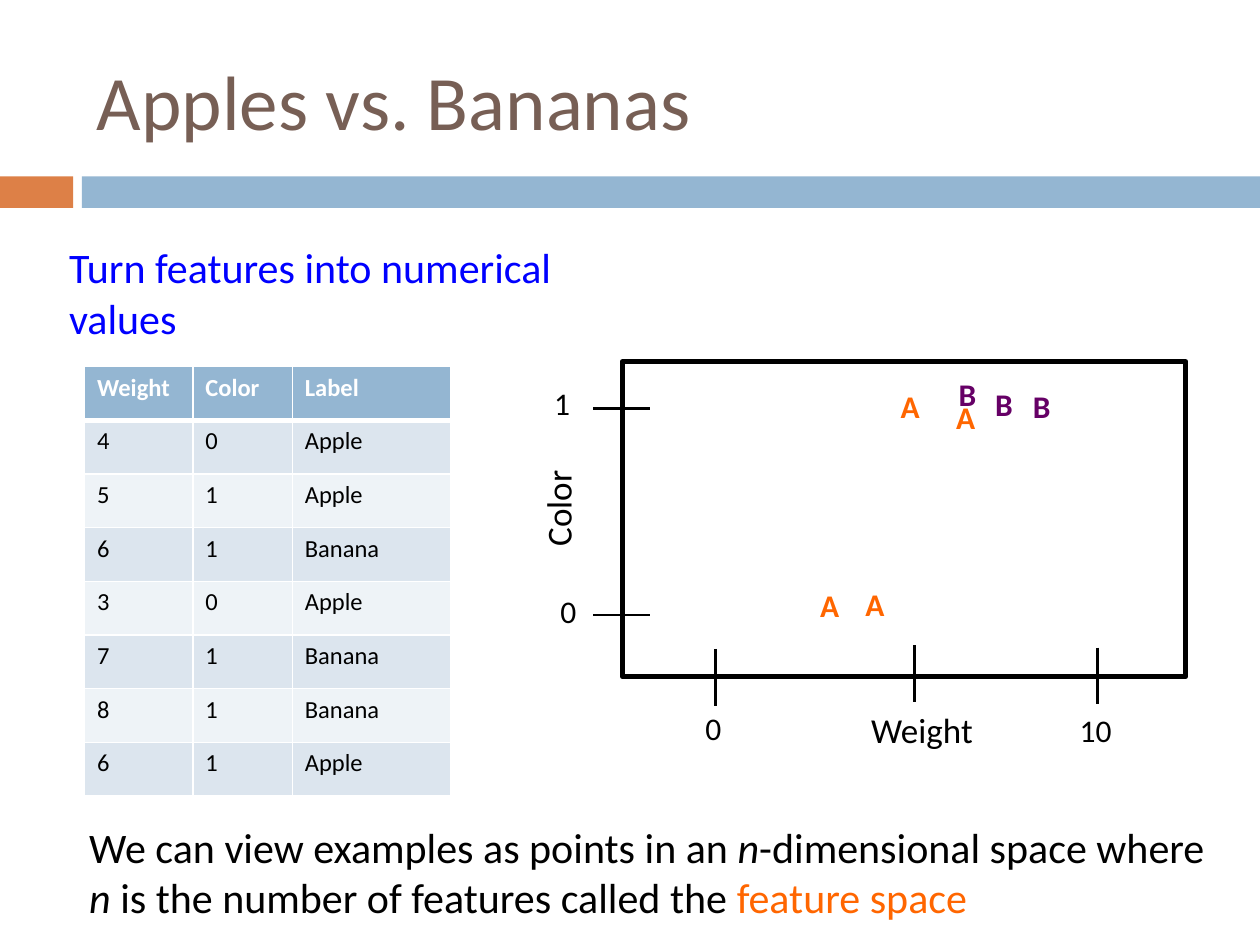
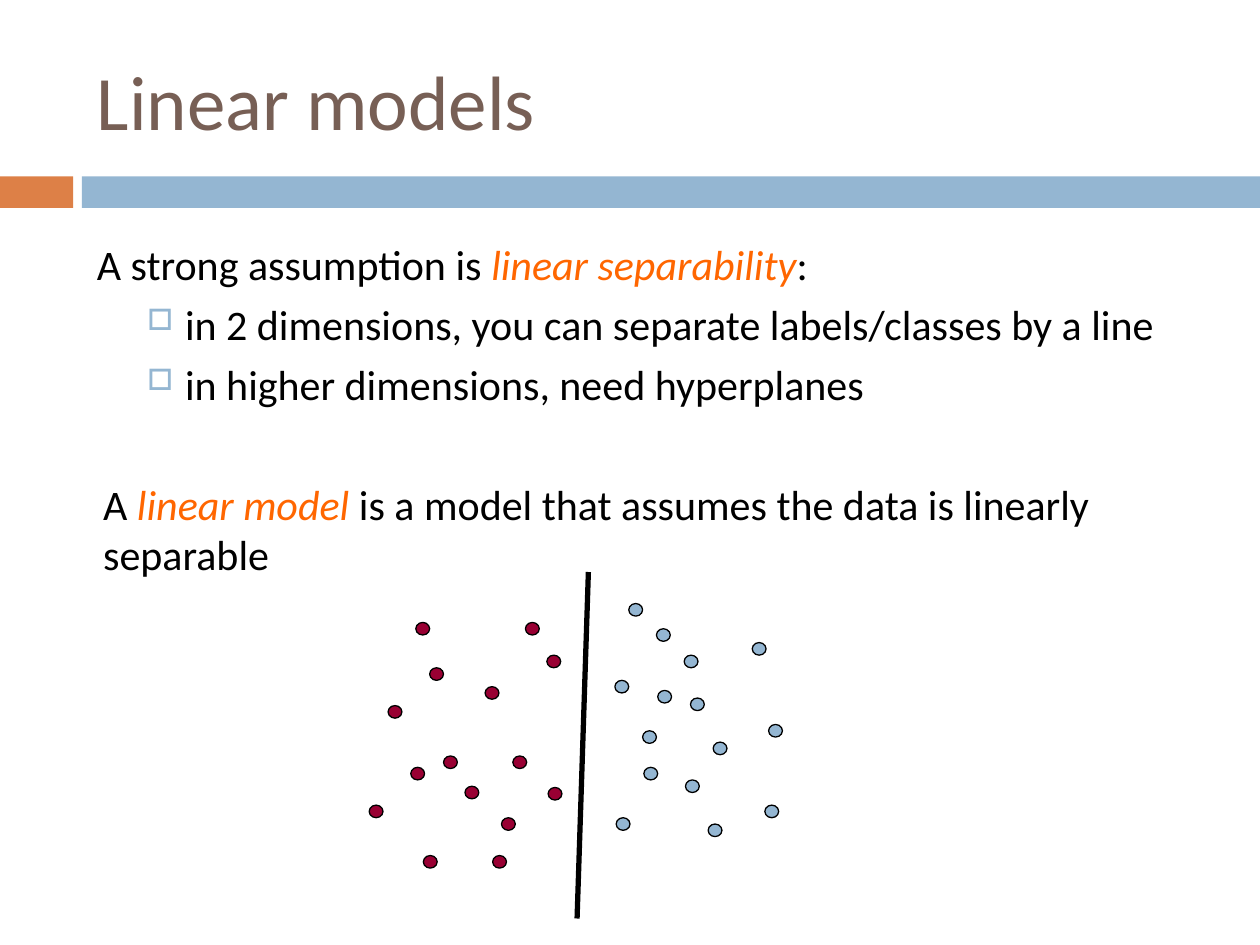
from lxml.etree import SubElement
from pptx import Presentation
from pptx.dml.color import RGBColor
from pptx.enum.shapes import MSO_CONNECTOR as Connector, MSO_SHAPE as Preset
from pptx.enum.text import MSO_ANCHOR as Anchor
from pptx.oxml.ns import qn
from pptx.util import Inches, Pt

# Shared look
FONT = "Calibri"
SLIDE_WIDTH, SLIDE_HEIGHT = 10, 7.5
MARGIN, CONTENT_WIDTH = 0.67, 8.92
BAND_TOP, BAND_HEIGHT = 1.4, 0.25
BLACK = RGBColor(0x00, 0x00, 0x00)
WHITE = RGBColor(0xFF, 0xFF, 0xFF)
BROWN = RGBColor(0x77, 0x5F, 0x55)
RUST = RGBColor(0xDD, 0x80, 0x47)
SKY = RGBColor(0x94, 0xB6, 0xD2)
ROW_TINTS = (RGBColor(0xDC, 0xE5, 0xEE), RGBColor(0xEE, 0xF3, 0xF7))
BLUE = RGBColor(0x00, 0x00, 0xFF)
ORANGE = RGBColor(0xFF, 0x66, 0x00)
PURPLE = RGBColor(0x66, 0x00, 0x66)
MAROON = RGBColor(0x99, 0x00, 0x33)

# Text is a list of runs: (words, optional overrides)
ITALIC = {"italic": True}
TERM = {"color": ORANGE, "italic": True}

# Slide 1: fruit table and feature space
FRUIT_HEADER = ("Weight", "Color", "Label")
FRUIT_ROWS = [
    (4, 0, "Apple"), (5, 1, "Apple"), (6, 1, "Banana"), (3, 0, "Apple"),
    (7, 1, "Banana"), (8, 1, "Banana"), (6, 1, "Apple"),
]
FRUIT_COLUMNS = (0.86, 0.79, 1.26)
FRUIT_TOP, FRUIT_HEIGHT = 2.91, 3.41
LEAD = [("Turn features into numerical values", {})]
CONCLUSION = [
    ("We can view examples as points in an ", {}), ("n", ITALIC),
    ("-dimensional space where ", {}), ("n", ITALIC),
    (" is the number of features called the ", {}),
    ("feature space", {"color": ORANGE}),
]
PLOT = (4.94, 2.87, 4.47, 2.5)
TICK = 0.45
WEIGHT_TICKS = [(5.68, 5.15), (7.26, 5.12), (8.71, 5.14)]
COLOR_TICKS = [(4.71, 3.24), (4.71, 4.88)]
# Words, centre, size, rotation
AXIS_LABELS = [
    ("Weight", (7.33, 5.79), 20, 0), ("Color", (4.43, 4.03), 20, 270),
    ("0", (5.67, 5.78), 18, 0), ("10", (8.71, 5.79), 18, 0),
    ("0", (4.52, 4.85), 18, 0), ("1", (4.47, 3.2), 18, 0),
]
LABEL_WIDTHS = {"Weight": 1.03, "Color": 0.81, "10": 0.48, "A": 0.38}
EXAMPLES = {
    "A": (ORANGE, [(6.6, 4.8), (6.96, 4.79), (7.24, 3.22), (7.68, 3.31)]),
    "B": (PURPLE, [(7.68, 3.13), (7.97, 3.21), (8.27, 3.22)]),
}

# Slide 2: definitions and separable points
# Runs, space before, left indent, bulleted
DEFINITIONS = [
    ([("A strong assumption is ", {}), ("linear separability", TERM),
      (":", {})], 0, 0, False),
    ([("in 2 dimensions, you can separate labels/classes by a line", {})],
     5.5, 0.7, True),
    ([("in higher dimensions, need hyperplanes", {})], 5.5, 0.7, True),
    ([("A ", {}), ("linear model ", TERM),
      ("is a model that assumes the data is linearly separable", {})],
     40, 0.05, False),
]
DOT_WIDTH, DOT_HEIGHT = 0.11, 0.1
CLASSES = [
    (MAROON, [
        (3.3, 4.94), (4.17, 4.94), (4.34, 5.2), (3.41, 5.3), (3.85, 5.45),
        (3.08, 5.6), (3.52, 6), (4.07, 6), (3.26, 6.09), (3.69, 6.24),
        (4.35, 6.25), (2.93, 6.39), (3.98, 6.49), (3.36, 6.79), (3.91, 6.79),
    ]),
    (SKY, [
        (4.99, 4.79), (5.21, 4.99), (5.97, 5.1), (5.43, 5.2), (4.88, 5.4),
        (5.22, 5.48), (5.48, 5.54), (6.1, 5.75), (5.1, 5.8), (5.66, 5.89),
        (5.11, 6.09), (5.44, 6.19), (6.07, 6.39), (4.89, 6.49), (5.62, 6.54),
    ]),
]
SEPARATOR = ((4.67, 4.54), (4.58, 7.29))


def add_runs(paragraph, runs, size, color=BLACK, bold=False):
    for words, changes in runs:
        run = paragraph.add_run()
        run.text = words
        font = run.font
        font.name, font.size, font.bold = FONT, Pt(size), bold
        font.italic = changes.get("italic", False)
        font.color.rgb = changes.get("color", color)


def add_text(slide, box, runs, size, color=BLACK, bold=False, wrap=True):
    shape = slide.shapes.add_textbox(*map(Inches, box))
    shape.text_frame.word_wrap = wrap
    add_runs(shape.text_frame.paragraphs[0], runs, size, color, bold)
    return shape


def add_label(slide, words, center, size=18, color=BLACK, bold=False):
    """Place a short label by its centre."""
    width, height = LABEL_WIDTHS.get(words, 0.34), 0.44 if size == 20 else 0.4
    box = (center[0] - width / 2, center[1] - height / 2, width, height)
    return add_text(slide, box, [(words, {})], size, color, bold, wrap=False)


def add_shape(slide, preset, box, fill=None, line_width=0):
    shape = slide.shapes.add_shape(preset, *map(Inches, box))
    shape.shadow.inherit = False
    if fill is None:
        shape.fill.background()
    else:
        shape.fill.solid()
        shape.fill.fore_color.rgb = fill
    if line_width:
        shape.line.color.rgb = BLACK
        shape.line.width = Pt(line_width)
    else:
        shape.line.fill.background()


def add_line(slide, start, end, width):
    line = slide.shapes.add_connector(
        Connector.STRAIGHT, *map(Inches, (*start, *end)))
    line.line.color.rgb = BLACK
    line.line.width = Pt(width)
    SubElement(line._element.spPr, qn("a:effectLst"))


def add_titled_slide(presentation, title):
    slide = presentation.slides.add_slide(presentation.slide_layouts[6])
    for left, right, color in ((0, 0.58, RUST), (0.65, SLIDE_WIDTH, SKY)):
        box = (left, BAND_TOP, right - left, BAND_HEIGHT)
        add_shape(slide, Preset.RECTANGLE, box, color)
    shape = add_text(slide, (MARGIN, 0.25, CONTENT_WIDTH, 1.08),
                     [(title, {})], 44, BROWN)
    shape.text_frame.vertical_anchor = Anchor.MIDDLE
    return slide


def set_borders(cell, bottom):
    properties = cell._tc.get_or_add_tcPr()
    for side, width in (("L", 1), ("R", 1), ("T", 1), ("B", bottom)):
        line = SubElement(properties, qn(f"a:ln{side}"), w=str(Pt(width)))
        fill = SubElement(line, qn("a:solidFill"))
        SubElement(fill, qn("a:srgbClr"), val=str(WHITE))


def add_fruit_table(slide):
    rows = [FRUIT_HEADER, *FRUIT_ROWS]
    box = (MARGIN, FRUIT_TOP, sum(FRUIT_COLUMNS), FRUIT_HEIGHT)
    table = slide.shapes.add_table(
        len(rows), len(FRUIT_COLUMNS), *map(Inches, box)).table
    for column, width in zip(table.columns, FRUIT_COLUMNS):
        column.width = Inches(width)
    for r, values in enumerate(rows):
        header = r == 0
        table.rows[r].height = Inches(FRUIT_HEIGHT / len(rows))
        for c, value in enumerate(values):
            cell = table.cell(r, c)
            set_borders(cell, 3 if header else 1)
            cell.fill.solid()
            cell.fill.fore_color.rgb = SKY if header else ROW_TINTS[(r - 1) % 2]
            add_runs(cell.text_frame.paragraphs[0], [(str(value), {})], 14,
                     WHITE if header else BLACK, bold=header)


def add_feature_space(slide):
    add_shape(slide, Preset.RECTANGLE, PLOT, line_width=3)
    for x, y in WEIGHT_TICKS:
        add_line(slide, (x, y), (x, y + TICK), 1.5)
    for x, y in COLOR_TICKS:
        add_line(slide, (x, y), (x + TICK, y), 1.5)
    for words, center, size, rotation in AXIS_LABELS:
        add_label(slide, words, center, size).rotation = rotation
    for letter, (color, centers) in EXAMPLES.items():
        for center in centers:
            add_label(slide, letter, center, color=color, bold=True)


def add_bullet(properties):
    color = SubElement(properties, qn("a:buClr"))
    SubElement(color, qn("a:srgbClr"), val=str(SKY))
    SubElement(properties, qn("a:buSzPct"), val="70000")
    SubElement(properties, qn("a:buChar"), char="□")


def add_definitions(slide):
    box = (MARGIN, 1.84, CONTENT_WIDTH, 1.75)
    frame = slide.shapes.add_textbox(*map(Inches, box)).text_frame
    frame.word_wrap = True
    for i, (runs, space, indent, bulleted) in enumerate(DEFINITIONS):
        paragraph = frame.add_paragraph() if i else frame.paragraphs[0]
        paragraph.space_before = Pt(space)
        properties = paragraph._p.get_or_add_pPr()
        properties.set("marL", str(Inches(indent)))
        if bulleted:
            properties.set("indent", str(Inches(-0.3)))
            add_bullet(properties)
        add_runs(paragraph, runs, 24)


def main():
    presentation = Presentation()
    presentation.slide_width = Inches(SLIDE_WIDTH)
    presentation.slide_height = Inches(SLIDE_HEIGHT)

    # Slide 1
    slide = add_titled_slide(presentation, "Apples vs. Bananas")
    add_fruit_table(slide)
    add_text(slide, (0.45, 1.87, 4.79, 0.91), LEAD, 24, BLUE)
    add_feature_space(slide)
    add_text(slide, (0.61, 6.47, 9.13, 0.91), CONCLUSION, 24)

    # Slide 2
    slide = add_titled_slide(presentation, "Linear models")
    add_definitions(slide)
    for color, corners in CLASSES:
        for corner in corners:
            add_shape(slide, Preset.OVAL, (*corner, DOT_WIDTH, DOT_HEIGHT),
                      color, line_width=0.75)
    add_line(slide, *SEPARATOR, 3)

    presentation.save("out.pptx")


if __name__ == "__main__":
    main()
